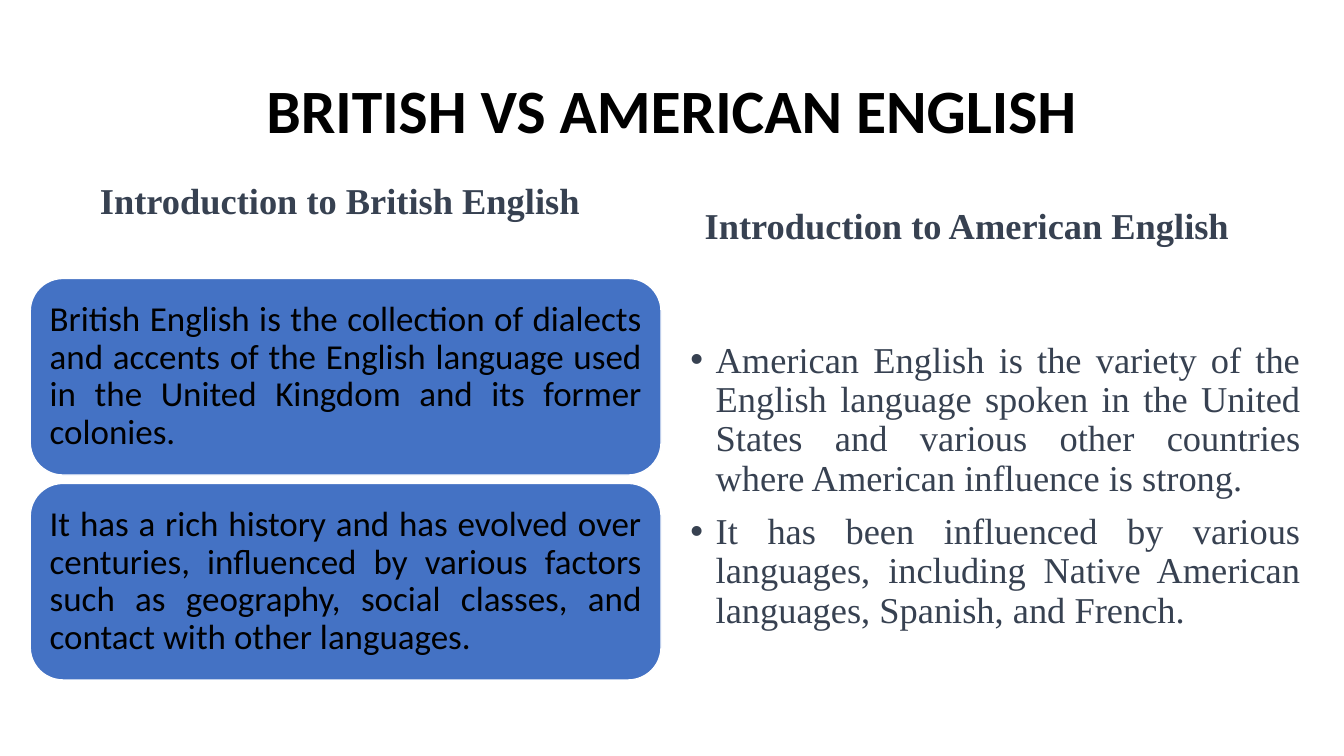
import pptx
import pptx.util
import pptx.dml.color
import pptx.enum.shapes
import pptx.enum.text
import lxml.etree

WIDTH = pptx.util.Inches(13.33)
HEIGHT = pptx.util.Inches(7.5)
COLUMNS, ROWS = 160, 90
SERIF, SANS = "Times New Roman", "Calibri"
BLACK, SLATE, BLUE, WHITE = "000000", "374151", "4472C4", "FFFFFF"
ALIGN = pptx.enum.text.PP_ALIGN
ANCHOR = pptx.enum.text.MSO_ANCHOR

BRITISH_FACTS = [
    "British English is the collection of dialects and accents of the English language used in the United Kingdom and its former colonies.",
    "It has a rich history and has evolved over centuries, influenced by various factors such as geography, social classes, and contact with other languages.",
]
AMERICAN_FACTS = [
    "American English is the variety of the English language spoken in the United States and various other countries where American influence is strong.",
    "It has been influenced by various languages, including Native American languages, Spanish, and French.",
]


def color(code):
    """Turn a hex string into a colour."""
    return pptx.dml.color.RGBColor.from_string(code)


def place(shape, box):
    """Move a shape to a box of grid columns and rows."""
    left, top, width, height = box
    shape.left, shape.width = (int(WIDTH * n / COLUMNS) for n in (left, width))
    shape.top, shape.height = (int(HEIGHT * n / ROWS) for n in (top, height))


def set_frame(shape, anchor, top=0.05, bottom=0.05):
    """Set the anchor and the insets of a shape's text."""
    frame = shape.text_frame
    frame.word_wrap = True
    frame.auto_size = pptx.enum.text.MSO_AUTO_SIZE.NONE
    frame.vertical_anchor = anchor
    frame.margin_left = frame.margin_right = pptx.util.Inches(0.1)
    frame.margin_top = pptx.util.Inches(top)
    frame.margin_bottom = pptx.util.Inches(bottom)
    return frame


def write(para, text, size=26, font=SERIF, ink=SLATE, bold=False,
          align=ALIGN.LEFT, before=0):
    """Write formatted text into a paragraph."""
    para.alignment = align
    para.line_spacing = 0.9
    para.space_before = pptx.util.Pt(before)
    span = para.add_run()
    span.text = text
    span.font.size = pptx.util.Pt(size)
    span.font.name = font
    span.font.bold = bold
    span.font.color.rgb = color(ink)


def add_bullet(para):
    """Give a paragraph a hanging round bullet."""
    indent = pptx.util.Inches(0.25)
    props = para._p.get_or_add_pPr()
    props.set("marL", str(indent))
    props.set("indent", str(-indent))
    ns = "{http://schemas.openxmlformats.org/drawingml/2006/main}"
    lxml.etree.SubElement(props, ns + "buFont", typeface="Arial")
    lxml.etree.SubElement(props, ns + "buChar", char="•")


def fill_title(title, box, text):
    """Set the slide title."""
    place(title, box)
    frame = set_frame(title, ANCHOR.MIDDLE)
    write(frame.paragraphs[0], text, size=44, font=SANS, ink=BLACK,
          bold=True, align=ALIGN.CENTER)


def fill_heading(heading, box, text, align, bottom=0.05):
    """Set the heading of one side."""
    place(heading, box)
    frame = set_frame(heading, ANCHOR.BOTTOM, top=0, bottom=bottom)
    write(frame.paragraphs[0], text, bold=True, align=align)


def add_cards(page, box, facts, gap=1):
    """Stack equal rounded cards, one for each fact."""
    left, top, width, height = box
    card_height = (height - gap * (len(facts) - 1)) / len(facts)
    for index, fact in enumerate(facts):
        card = page.shapes.add_shape(
            pptx.enum.shapes.MSO_SHAPE.ROUNDED_RECTANGLE, 0, 0, 0, 0)
        place(card, (left, top + index * (card_height + gap), width, card_height))
        card.shadow.inherit = False
        card.fill.solid()
        card.fill.fore_color.rgb = color(BLUE)
        card.line.color.rgb = color(WHITE)
        card.line.width = pptx.util.Pt(1)
        frame = set_frame(card, ANCHOR.MIDDLE)
        write(frame.paragraphs[0], fact, size=25, font=SANS, ink=BLACK,
              align=ALIGN.JUSTIFY)


def fill_list(body, box, facts):
    """Set a bulleted list of facts."""
    place(body, box)
    frame = set_frame(body, ANCHOR.TOP, top=0.65)
    for index, fact in enumerate(facts):
        para = frame.add_paragraph() if index else frame.paragraphs[0]
        write(para, fact, align=ALIGN.JUSTIFY, before=10 if index else 0)
        add_bullet(para)


def build_comparison(deck):
    """Add the slide that compares the two varieties."""
    page = deck.slides.add_slide(deck.slide_layouts.get_by_name("Comparison"))
    title, left_heading, left_body, right_heading, right_body = page.placeholders
    left_body.element.getparent().remove(left_body.element)
    fill_title(title, (11, 4.8, 138, 17.4), "BRITISH VS AMERICAN ENGLISH")
    fill_heading(left_heading, (10.7, 22.1, 68, 9.2),
                 "Introduction to British English", ALIGN.LEFT, bottom=0.4)
    add_cards(page, (3.6, 33.15, 75.1, 47.8), BRITISH_FACTS)
    fill_heading(right_heading, (81.3, 22.1, 67.7, 8),
                 "Introduction to American English", ALIGN.CENTER)
    fill_list(right_body, (81, 32.9, 75.1, 48.4), AMERICAN_FACTS)


def main():
    """Build and save the deck."""
    deck = pptx.Presentation()
    deck.slide_width, deck.slide_height = WIDTH, HEIGHT
    build_comparison(deck)
    deck.save("out.pptx")


if __name__ == "__main__":
    main()
